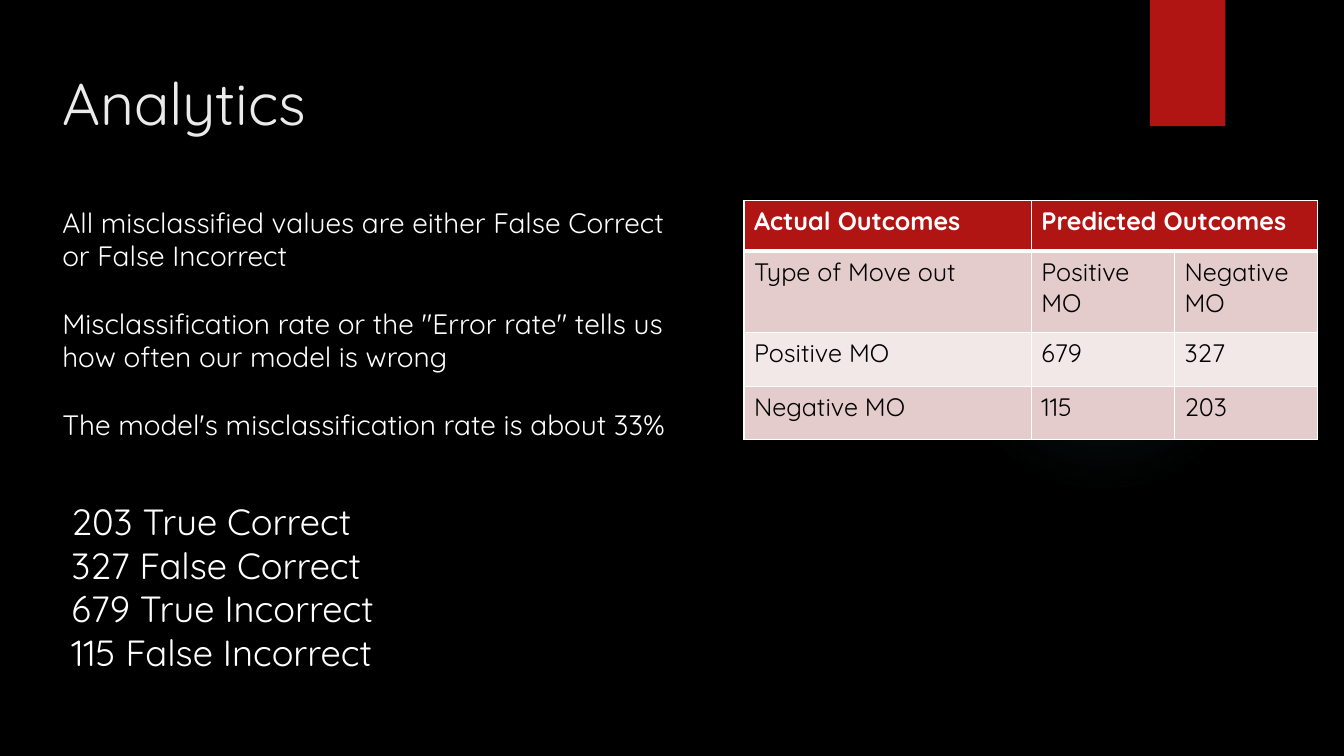
from lxml.etree import SubElement as Sub
from pptx import Presentation
from pptx.dml.color import RGBColor as Rgb
from pptx.enum.shapes import MSO_SHAPE as Shape
from pptx.enum.text import MSO_ANCHOR as Anchor
from pptx.oxml import parse_xml
from pptx.oxml.ns import qn
from pptx.util import Cm, Pt

# Content
TITLE = ["Analytics"]
NOTES = [
    "All misclassified values are either False Correct or False Incorrect",
    "Misclassification rate or the \"Error rate\" tells us how often our model is wrong",
    "The model's misclassification rate is about 33%",
]
COUNTS = ["203 True Correct", "327 False Correct",
          "679 True Incorrect", "115 False Incorrect"]
MATRIX = [
    ("Actual Outcomes", "Predicted Outcomes", ""),
    ("Type of Move out", "Positive MO", "Negative MO"),
    ("Positive MO", "679", "327"),
    ("Negative MO", "115", "203"),
]

THEME = {
    "font": "Quicksand",
    "back": "000000", "red": "B01513", "glow": "50B9C1",
    "title": "EBEBEB", "light": "FFFFFF", "dark": "000000",
    "bands": ("F2E8E7", "E4CCCC"),
    "sizes": {"title": 42, "notes": 20, "counts": 26, "table": 18},
}

# Places in cm: left, top, width, height
GLOW = (23.9, 4.65, 7.82, 7.82)
TAB = (28.98, 0, 1.9, 3.18)
TEXTS = [
    (TITLE, (1.32, 0.38, 13.21, 3.2), "title", THEME["title"], Anchor.BOTTOM, 0),
    (NOTES, (1.32, 5.05, 16.38, 7.01), "notes", THEME["light"], Anchor.TOP, 24),
    (COUNTS, (1.55, 12.45, 16.38, 4.7), "counts", THEME["light"], Anchor.TOP, 0),
]
COLS = (7.24, 3.61, 3.61)
ROWS = (1.27, 2.06, 1.35, 1.35)
GRID = (18.75, 5.05, sum(COLS), sum(ROWS))


def cms(box):
    return [Cm(n) for n in box]


def paint(fill, color):
    fill.solid()
    fill.fore_color.rgb = Rgb.from_string(color)


def style(par, size, color, bold=False):
    look = {"name": THEME["font"], "size": Pt(THEME["sizes"][size]), "bold": bold}
    for key, val in look.items():
        setattr(par.font, key, val)
    par.font.color.rgb = Rgb.from_string(color)


def add_shape(slide, kind, box):
    shape = slide.shapes.add_shape(kind, *cms(box))
    shape.shadow.inherit = False
    shape.line.fill.background()
    return shape


def add_glow(slide):
    shape = add_shape(slide, Shape.OVAL, GLOW)
    shape.fill.background()
    stops = "".join(
        f'<a:gs pos="{pos}000"><a:srgbClr val="{THEME["glow"]}">'
        f'<a:alpha val="{alpha}000"/></a:srgbClr></a:gs>'
        for pos, alpha in ((0, 7), (36, 6), (69, 0), (100, 0)))
    grad = parse_xml(
        '<a:gradFill xmlns:a="http://schemas.openxmlformats.org/drawingml/2006/main">'
        f'<a:gsLst>{stops}</a:gsLst><a:path path="circle">'
        '<a:fillToRect l="50000" t="50000" r="50000" b="50000"/></a:path></a:gradFill>')
    props = shape._element.spPr
    props.replace(props.find(qn("a:noFill")), grad)


def add_text(slide, lines, box, size, color, anchor, gap):
    frame = slide.shapes.add_textbox(*cms(box)).text_frame
    for key, val in {"word_wrap": True, "vertical_anchor": anchor}.items():
        setattr(frame, key, val)
    frame.text = "\n".join(lines)
    for par in frame.paragraphs:
        style(par, size, color)
        par.space_after = Pt(gap)


def edge(cell, row):
    # The rule under the header is thicker than the rest
    wide = {"L": 1, "R": 1, "T": 3 if row == 1 else 1, "B": 3 if row == 0 else 1}
    props = cell._tc.get_or_add_tcPr()
    for side, width in wide.items():
        line = Sub(props, qn(f"a:ln{side}"), w=str(Pt(width)))
        fill = Sub(line, qn("a:solidFill"))
        Sub(fill, qn("a:srgbClr"), val=THEME["light"])


def add_matrix(slide):
    table = slide.shapes.add_table(len(ROWS), len(COLS), *cms(GRID)).table
    for col, width in zip(table.columns, COLS):
        col.width = Cm(width)
    for row, height in zip(table.rows, ROWS):
        row.height = Cm(height)
    table.cell(0, 1).merge(table.cell(0, 2))
    for r, words in enumerate(MATRIX):
        head = r == 0
        for c, word in enumerate(words):
            cell = table.cell(r, c)
            edge(cell, r)
            paint(cell.fill, THEME["red"] if head else THEME["bands"][r % 2])
            if not cell.is_spanned:
                cell.text = word
                style(cell.text_frame.paragraphs[0], "table",
                      THEME["light" if head else "dark"], head)


def main():
    deck = Presentation()
    deck.slide_width, deck.slide_height = Cm(33.87), Cm(19.05)
    slide = deck.slides.add_slide(deck.slide_layouts[6])
    paint(slide.background.fill, THEME["back"])
    # Decoration
    add_glow(slide)
    paint(add_shape(slide, Shape.RECTANGLE, TAB).fill, THEME["red"])
    # Text and table
    for item in TEXTS:
        add_text(slide, *item)
    add_matrix(slide)
    deck.save("out.pptx")


if __name__ == "__main__":
    main()
